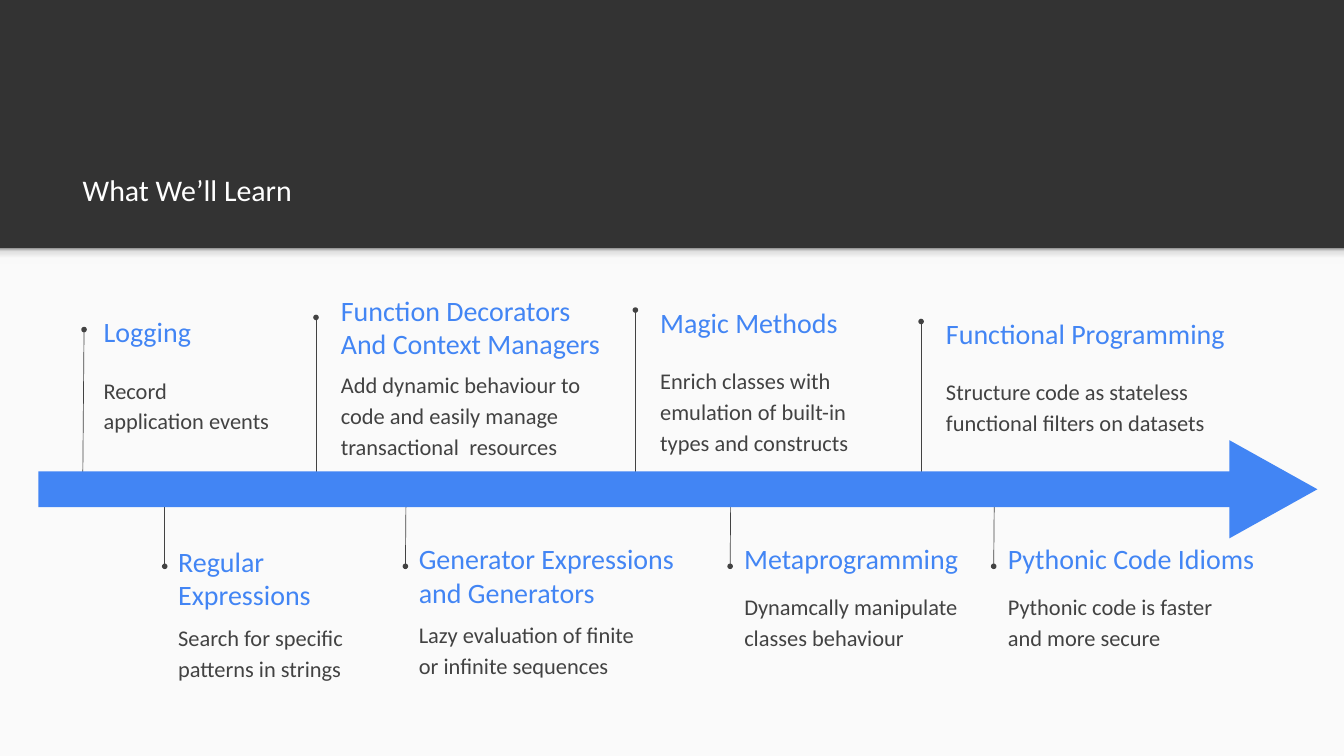
from dataclasses import dataclass

from lxml import etree
from pptx import Presentation
from pptx import util as u
from pptx.dml.color import RGBColor
from pptx.enum import shapes, text
from pptx.oxml.ns import qn

CELL = 0.1
COLS, ROWS = 199.9, 112.4
HEADER_ROWS = 36.9
HEADING_ROWS = 8.6
FOOT_ROW = 72.5

DARK = RGBColor(0x33, 0x33, 0x33)
PAPER = RGBColor(0xFA, 0xFA, 0xFA)
BLUE = RGBColor(0x42, 0x85, 0xF4)
GREY = RGBColor(0x42, 0x42, 0x42)
WHITE = RGBColor(0xFF, 0xFF, 0xFF)
SHADE_STOPS = (
    (0, RGBColor(0xF9, 0xF9, 0xF9)),
    (36, RGBColor(0xF9, 0xF9, 0xF9)),
    (80, RGBColor(0xDE, 0xDE, 0xDE)),
    (100, RGBColor(0x99, 0x99, 0x99)),
)


@dataclass(frozen=True)
class Topic:
    heading: tuple[str, ...]
    body: tuple[str, ...]
    left: float
    top: float
    heading_cols: float
    body_top: float
    body_cols: float
    foot_col: float
    tip_col: float
    tip_row: float


@dataclass(frozen=True)
class TextStyle:
    size: int
    color: RGBColor
    anchor: text.MSO_ANCHOR
    spacing: float


TITLE = TextStyle(32, WHITE, text.MSO_ANCHOR.BOTTOM, 1.0)
HEADING = TextStyle(30, BLUE, text.MSO_ANCHOR.MIDDLE, 1.0)
BODY = TextStyle(24, GREY, text.MSO_ANCHOR.TOP, 1.15)

TOPICS = (
    Topic(("Logging",), ("Record", "application events"),
          13.4, 44.9, 49.1, 53.4, 29.8, 12.3, 12.5, 49),
    Topic(("Function Decorators", "And Context Managers"),
          ("Add dynamic behaviour to code and easily manage transactional  resources",),
          48.7, 44.3, 45, 52.6, 46.1, 47, 47, 47.2),
    Topic(("Magic Methods",),
          ("Enrich classes with emulation of built-in types and constructs",),
          96.2, 43.6, 58.9, 52, 34.7, 94.5, 94.5, 46.1),
    Topic(("Functional Programming",),
          ("Structure code as stateless functional filters on datasets",),
          138.7, 45.3, 49.1, 53.6, 46.1, 137, 137, 47.8),
    Topic(("Regular", "Expressions"), ("Search for specific patterns in strings",),
          24.5, 81.6, 45, 90.2, 30.8, 24.5, 24.5, 84.2),
    Topic(("Generator Expressions and Generators",),
          ("Lazy evaluation of finite or infinite sequences",),
          60.3, 81.2, 43.3, 89.8, 37.7, 60.4, 60.3, 84.2),
    Topic(("Metaprogramming",), ("Dynamcally manipulate classes behaviour",),
          108.7, 78.7, 37.7, 85.6, 40.1, 108.7, 108.6, 84.2),
    Topic(("Pythonic Code Idioms",), ("Pythonic code is faster and more secure",),
          147.9, 78.7, 43.3, 85.6, 40.1, 147.9, 147.8, 84.2),
)


def grid(*cells: float) -> list[u.Length]:
    return [u.Inches(c * CELL) for c in cells]


def add_block(parent, kind: shapes.MSO_SHAPE, cells: tuple[float, ...], color: RGBColor):
    sp = parent.shapes.add_shape(kind, *grid(*cells))
    sp.shadow.inherit = False
    sp.fill.solid()
    sp.fill.fore_color.rgb = color
    sp.line.fill.background()
    return sp


def add_header_shade(s) -> None:
    sp = add_block(s, shapes.MSO_SHAPE.RECTANGLE, (0, HEADER_ROWS, COLS, 2.4), PAPER)
    sp.fill.gradient()
    sp.fill.gradient_angle = 90
    stops = next(sp._element.iter(qn("a:gsLst")))
    for stop in list(stops):
        stops.remove(stop)
    for percent, color in SHADE_STOPS:
        stop = etree.SubElement(stops, qn("a:gs"), pos=str(percent * 1000))
        etree.SubElement(stop, qn("a:srgbClr"), val=str(color))


def add_text(s, cells: tuple[float, ...], lines: tuple[str, ...], style: TextStyle) -> None:
    tf = s.shapes.add_textbox(*grid(*cells)).text_frame
    tf.word_wrap = True
    tf.vertical_anchor = style.anchor
    tf.margin_left = tf.margin_right = tf.margin_top = tf.margin_bottom = u.Inches(0.2)
    for i, line in enumerate(lines):
        p = tf.add_paragraph() if i else tf.paragraphs[0]
        p.line_spacing = style.spacing
        r = p.add_run()
        r.text = line
        r.font.name = "Calibri"
        r.font.size = u.Pt(style.size)
        r.font.color.rgb = style.color


def add_pin(s, topic: Topic) -> None:
    pin = s.shapes.add_connector(
        shapes.MSO_CONNECTOR.STRAIGHT,
        *grid(topic.foot_col, FOOT_ROW, topic.tip_col, topic.tip_row))
    pin.line.color.rgb = GREY
    pin.line.width = u.Pt(0.75)
    etree.SubElement(pin.line._get_or_add_ln(), qn("a:tailEnd"), type="oval")
    etree.SubElement(pin._element.spPr, qn("a:effectLst"))


def add_topic(s, topic: Topic) -> None:
    add_pin(s, topic)
    add_text(s, (topic.left, topic.top, topic.heading_cols, HEADING_ROWS),
             topic.heading, HEADING)
    add_text(s, (topic.left, topic.body_top, topic.body_cols, 12.7), topic.body, BODY)


def add_timeline_arrow(s) -> None:
    arrow = s.shapes.add_group_shape()
    head = add_block(arrow, shapes.MSO_SHAPE.ISOSCELES_TRIANGLE,
                     (182.1, 66.2, 14.6, 13.1), BLUE)
    head.rotation = 90
    add_block(arrow, shapes.MSO_SHAPE.RECTANGLE, (5.7, 70.1, 179.6, 5.3), BLUE)


def main() -> None:
    prs = Presentation()
    prs.slide_width, prs.slide_height = grid(COLS, ROWS)
    s = prs.slides.add_slide(prs.slide_layouts[6])
    s.background.fill.solid()
    s.background.fill.fore_color.rgb = DARK
    add_block(s, shapes.MSO_SHAPE.RECTANGLE,
              (0, HEADER_ROWS, COLS, ROWS - HEADER_ROWS), PAPER)
    add_header_shade(s)
    add_text(s, (10.3, 16.1, 179.8, 16.8), ("What We’ll Learn",), TITLE)
    for topic in TOPICS:
        add_topic(s, topic)
    add_timeline_arrow(s)
    prs.save("out.pptx")


if __name__ == "__main__":
    main()
